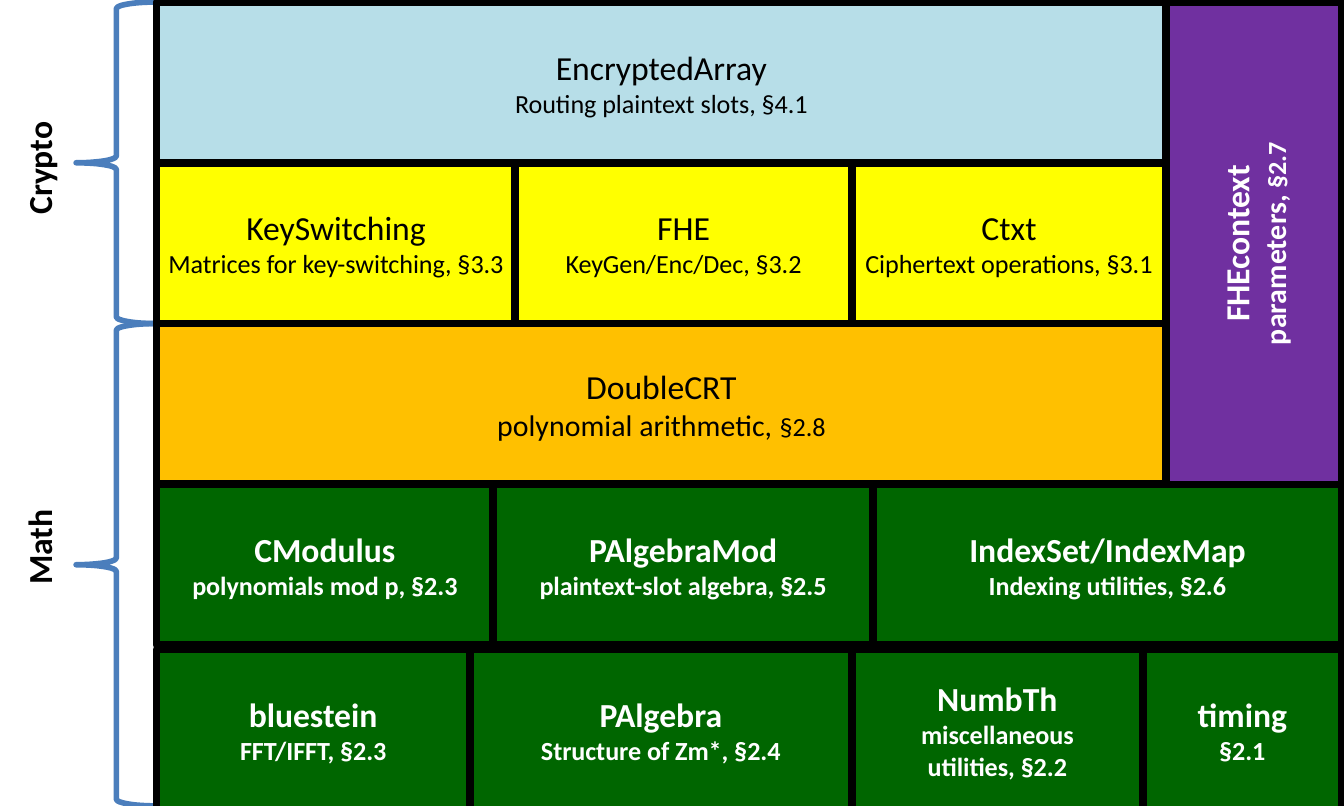
from pptx import Presentation
from pptx.dml.color import RGBColor
from pptx.enum.shapes import MSO_SHAPE
from pptx.enum.text import MSO_ANCHOR, MSO_AUTO_SIZE, PP_ALIGN
from pptx.util import Cm, Pt

BLACK = RGBColor(0x00, 0x00, 0x00)
WHITE = RGBColor(0xFF, 0xFF, 0xFF)
BLUE = RGBColor(0x4B, 0x7E, 0xBC)
LIGHT_BLUE = RGBColor(0xB7, 0xDE, 0xE8)
YELLOW = RGBColor(0xFF, 0xFF, 0x00)
ORANGE = RGBColor(0xFF, 0xC0, 0x00)
GREEN = RGBColor(0x00, 0x66, 0x00)
PURPLE = RGBColor(0x70, 0x30, 0xA0)

# Layout, in centimetres
ROW_TOP = 0.02
ROW_HEIGHT = 1.52
LAST_ROW_GAP = 0.04
STACK_LEFT = 1.48
CONTEXT_LEFT = 11.02
STACK_RIGHT = 12.68
SLIDE_BOTTOM = 7.62
MATH_TOP = ROW_TOP + 2 * ROW_HEIGHT

# Each row: top, fill, left edge, modules as (right edge, name, detail runs, tight)
ROWS = [
    (ROW_TOP, LIGHT_BLUE, [
        (CONTEXT_LEFT, "EncryptedArray", [("Routing plaintext slots, §4.1", 7)], False)]),
    (ROW_TOP + ROW_HEIGHT, YELLOW, [
        (4.87, "KeySwitching", [("Matrices for key-switching, §3.3", 7)], True),
        (8.05, "FHE", [("KeyGen/Enc/Dec, §3.2", 7)], False),
        (CONTEXT_LEFT, "Ctxt", [("Ciphertext operations, §3.1", 7)], True)]),
    (MATH_TOP, ORANGE, [
        (CONTEXT_LEFT, "DoubleCRT", [("polynomial arithmetic, ", 8), ("§2.8", 7)], False)]),
    (ROW_TOP + 3 * ROW_HEIGHT, GREEN, [
        (4.66, "CModulus", [("polynomials mod p, §2.3", 7)], False),
        (8.25, "PAlgebraMod", [("plaintext-slot algebra, §2.5", 7)], False),
        (STACK_RIGHT, "IndexSet/IndexMap", [("Indexing utilities, §2.6", 7)], False)]),
    (ROW_TOP + 4 * ROW_HEIGHT + LAST_ROW_GAP, GREEN, [
        (4.44, "bluestein", [("FFT/IFFT, §2.3", 7)], False),
        (8.05, "PAlgebra", [("Structure of Zm*, §2.4", 7)], False),
        (10.8, "NumbTh", [("miscellaneous utilities, §2.2", 7)], False),
        (STACK_RIGHT, "timing", [("§2.1", 7)], False)]),
]


def add_run(paragraph, text, size=9, color=BLACK, bold=False):
    run = paragraph.add_run()
    run.text = text
    run.font.name = "Calibri"
    run.font.size = Pt(size)
    run.font.bold = bold
    run.font.color.rgb = color
    paragraph.alignment = PP_ALIGN.CENTER


def add_module(slide, left, top, width, height, name, details, fill, tight=False):
    """Add a bordered box with a module name above its detail line."""
    shape = slide.shapes.add_shape(
        MSO_SHAPE.RECTANGLE, Cm(left), Cm(top), Cm(width), Cm(height))
    shape.shadow.inherit = False
    shape.fill.solid()
    shape.fill.fore_color.rgb = fill
    shape.line.color.rgb = BLACK
    shape.line.width = Pt(2)

    frame = shape.text_frame
    frame.word_wrap = True
    frame.vertical_anchor = MSO_ANCHOR.MIDDLE
    if tight:
        frame.margin_left = frame.margin_right = 0
    dark = fill in (GREEN, PURPLE)
    style = {"color": WHITE if dark else BLACK, "bold": dark}
    add_run(frame.paragraphs[0], name, **style)
    detail_line = frame.add_paragraph()
    for text, size in details:
        add_run(detail_line, text, size=size, **style)
    return shape


def add_brace(slide, top, bottom):
    width = 0.76
    brace = slide.shapes.add_shape(
        MSO_SHAPE.LEFT_BRACE, Cm(STACK_LEFT - width), Cm(top), Cm(width), Cm(bottom - top))
    brace.shadow.inherit = False
    brace.fill.background()
    brace.line.color.rgb = BLUE
    brace.line.width = Pt(1.5)


def add_layer_label(slide, text, center_y):
    width, height, center_x = 4.44, 0.64, 0.37
    label = slide.shapes.add_textbox(
        Cm(center_x - width / 2), Cm(center_y - height / 2), Cm(width), Cm(height))
    label.rotation = 270
    label.text_frame.word_wrap = True
    label.text_frame.auto_size = MSO_AUTO_SIZE.SHAPE_TO_FIT_TEXT
    add_run(label.text_frame.paragraphs[0], text, bold=True)


def main():
    presentation = Presentation()
    presentation.slide_width = Cm(12.7)
    presentation.slide_height = Cm(SLIDE_BOTTOM)
    slide = presentation.slides.add_slide(presentation.slide_layouts[6])

    # Layers on the left
    add_brace(slide, ROW_TOP, MATH_TOP)
    add_brace(slide, MATH_TOP, SLIDE_BOTTOM)
    add_layer_label(slide, "Crypto", 1.59)
    add_layer_label(slide, "Math", 5.17)

    # Stack of modules
    for top, fill, modules in ROWS:
        left = STACK_LEFT
        for right, name, details, tight in modules:
            add_module(slide, left, top, right - left, ROW_HEIGHT, name, details, fill, tight)
            left = right

    # Context beside the upper three rows, turned to read upwards
    length, thickness = 3 * ROW_HEIGHT, STACK_RIGHT - CONTEXT_LEFT
    center_x = (CONTEXT_LEFT + STACK_RIGHT) / 2
    center_y = ROW_TOP + length / 2
    context = add_module(
        slide, center_x - length / 2, center_y - thickness / 2, length, thickness,
        "FHEcontext", [("parameters, ", 8), ("§2.7", 7)], PURPLE)
    context.rotation = 270

    presentation.save("out.pptx")


main()
